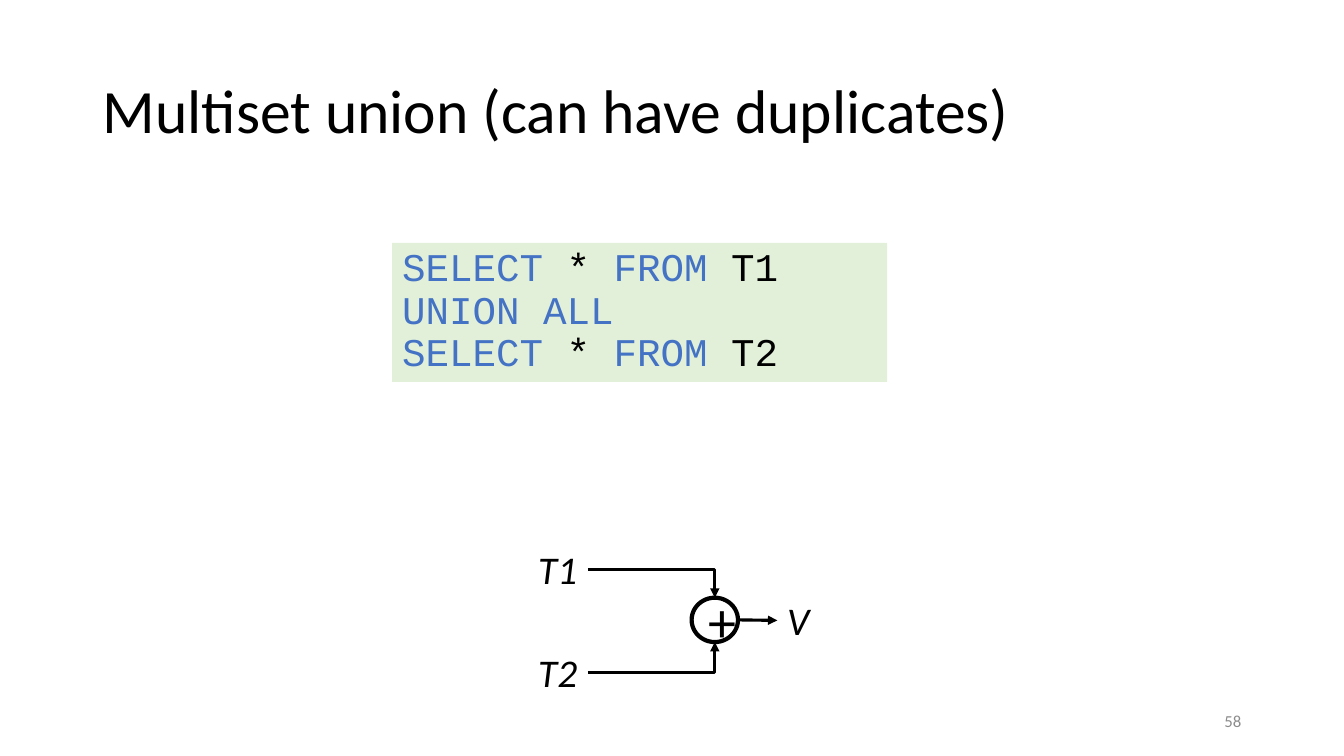
from dataclasses import dataclass

from lxml import etree
from pptx import Presentation
from pptx.dml.color import RGBColor
from pptx.enum import shapes, text
from pptx.oxml.ns import qn
from pptx.util import Inches, Pt


@dataclass(frozen=True)
class Theme:
    black: RGBColor = RGBColor(0, 0, 0)
    white: RGBColor = RGBColor(255, 255, 255)
    keyword: RGBColor = RGBColor(0x44, 0x72, 0xC4)
    code_fill: RGBColor = RGBColor(0xE2, 0xF0, 0xD9)
    grey: RGBColor = RGBColor(0x8C, 0x8C, 0x8C)
    body_font: str = "Calibri"
    code_font: str = "Courier New"
    title_size: int = 44
    plus_size: int = 40
    body_size: int = 28
    number_size: int = 12


T = Theme()


@dataclass(frozen=True)
class Label:
    words: str
    left: float
    top: float
    width: float
    height: float
    size: int = T.body_size
    color: RGBColor = T.black
    italic: bool = False
    wrap: bool = True
    anchor: text.MSO_ANCHOR = text.MSO_ANCHOR.MIDDLE
    align: text.PP_ALIGN = text.PP_ALIGN.LEFT
    spacing: float = 1.0


def add_run(p, words: str, size: int, color: RGBColor,
            font: str = T.body_font, italic: bool = False) -> None:
    r = p.add_run()
    r.text = words
    r.font.name, r.font.size, r.font.italic = font, Pt(size), italic
    r.font.color.rgb = color


def add_label(s, label: Label):
    sp = s.shapes.add_textbox(Inches(label.left), Inches(label.top),
                              Inches(label.width), Inches(label.height))
    tf = sp.text_frame
    tf.word_wrap, tf.vertical_anchor = label.wrap, label.anchor
    p = tf.paragraphs[0]
    p.alignment, p.line_spacing = label.align, label.spacing
    add_run(p, label.words, label.size, label.color, italic=label.italic)
    return sp


def add_node(s, words: str, left: float, top: float):
    """Add the italic name of an input or output relation."""
    width = 0.2 + 0.2 * len(words)
    return add_label(s, Label(words, left, top, width, 0.57, italic=True,
                              wrap=False, anchor=text.MSO_ANCHOR.TOP))


def add_code(s, lines) -> None:
    """Add the query box; each line is a list of (words, is_keyword) pairs."""
    sp = s.shapes.add_shape(shapes.MSO_SHAPE.RECTANGLE, Inches(3.89), Inches(2.41),
                            Inches(4.91), Inches(1.38))
    sp.shadow.inherit = False
    sp.fill.solid()
    sp.fill.fore_color.rgb = T.code_fill
    sp.line.fill.background()
    tf = sp.text_frame
    tf.word_wrap, tf.vertical_anchor = True, text.MSO_ANCHOR.TOP
    p = tf.paragraphs[0]
    p.alignment, p.line_spacing = text.PP_ALIGN.LEFT, 0.9
    for i, line in enumerate(lines):
        if i:
            p.add_line_break()
        for words, is_keyword in line:
            add_run(p, words, T.body_size, T.keyword if is_keyword else T.black,
                    T.code_font)


def add_union_node(s, left: float, top: float, width: float, height: float) -> None:
    sp = s.shapes.add_shape(shapes.MSO_SHAPE.OVAL, Inches(left), Inches(top),
                            Inches(width), Inches(height))
    sp.shadow.inherit = False
    sp.fill.solid()
    sp.fill.fore_color.rgb = T.white
    sp.line.color.rgb, sp.line.width = T.black, Pt(3)
    tf = sp.text_frame
    tf.vertical_anchor = text.MSO_ANCHOR.MIDDLE
    p = tf.paragraphs[0]
    p.alignment = text.PP_ALIGN.CENTER
    add_run(p, "+", T.plus_size, T.black)


def add_arrow(s, x1: float, y1: float, x2: float, y2: float, bent: bool = False):
    """Add an arrow; a bent one runs across, then turns once."""
    kind = shapes.MSO_CONNECTOR.ELBOW if bent else shapes.MSO_CONNECTOR.STRAIGHT
    cxn = s.shapes.add_connector(kind, Inches(x1), Inches(y1), Inches(x2), Inches(y2))
    cxn.line.color.rgb, cxn.line.width = T.black, Pt(2.25)
    sp_pr = cxn._element.spPr
    if bent:
        sp_pr.find(qn("a:prstGeom")).set("prst", "bentConnector2")
    etree.SubElement(sp_pr.find(qn("a:ln")), qn("a:tailEnd"), type="triangle")
    etree.SubElement(sp_pr, qn("a:effectLst"))
    return cxn


def main() -> None:
    prs = Presentation()
    prs.slide_width, prs.slide_height = Inches(13.33), Inches(7.5)
    s = prs.slides.add_slide(prs.slide_layouts[6])

    add_label(s, Label("Multiset union (can have duplicates)", 0.92, 0.4, 11.5, 1.45,
                       size=T.title_size, spacing=0.9))
    select = [("SELECT", True), (" * ", False), ("FROM", True)]
    add_code(s, [select + [(" T1", False)],
                 [("UNION ALL", True)],
                 select + [(" T2", False)]])
    add_label(s, Label("58", 11.99, 6.95, 0.42, 0.4, size=T.number_size, color=T.grey,
                       align=text.PP_ALIGN.RIGHT))

    left, top, width, height = 6.86, 5.93, 0.46, 0.44
    center_x, center_y = left + width / 2, top + height / 2
    add_union_node(s, left, top, width, height)
    for words, node_top, y, edge in (("T1", 5.36, 5.65, top),
                                     ("T2", 6.38, 6.67, top + height)):
        add_node(s, words, 5.24, node_top)
        add_arrow(s, 5.83, y, center_x, edge, bent=True)
    output = add_node(s, "V", 7.71, 5.87)
    add_arrow(s, left + width, center_y, 7.71, center_y).end_connect(output, 1)

    prs.save("out.pptx")


if __name__ == "__main__":
    main()
